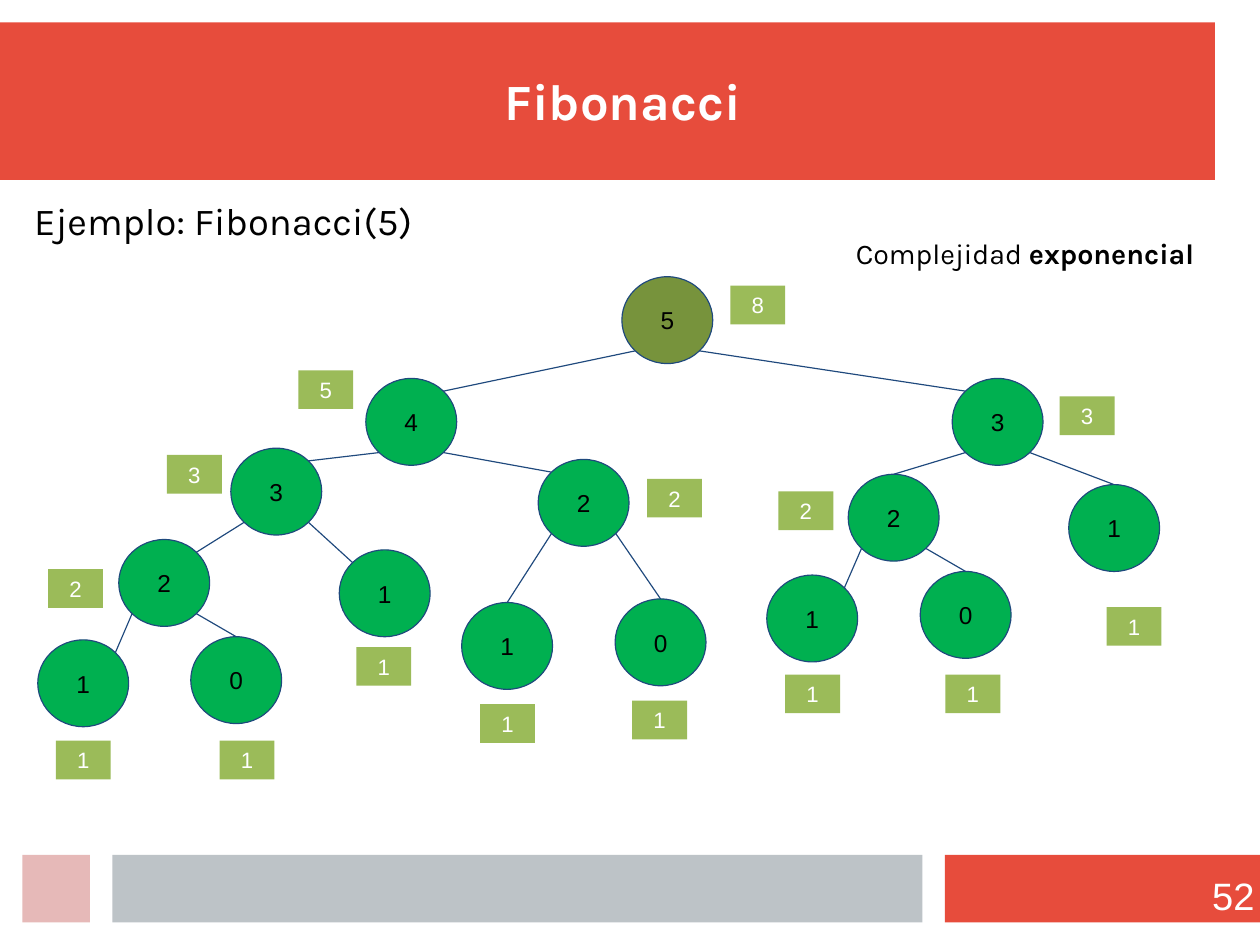
from dataclasses import dataclass
from math import sqrt

from lxml import etree
from pptx import Presentation
from pptx.dml.color import RGBColor
from pptx.enum.shapes import MSO_CONNECTOR as CONNECTOR, MSO_SHAPE as SHAPE
from pptx.enum.text import MSO_ANCHOR as ANCHOR, MSO_AUTO_SIZE as AUTO_SIZE, PP_ALIGN as ALIGN
from pptx.oxml.ns import qn
from pptx.util import Cm, Pt

RED = RGBColor(0xE7, 0x4C, 0x3C)
GREY = RGBColor(0xBD, 0xC3, 0xC7)
PINK = RGBColor(0xE6, 0xB9, 0xB8)
OLIVE = RGBColor(0x77, 0x93, 0x3C)
GREEN = RGBColor(0x00, 0xB0, 0x50)
LIGHT_GREEN = RGBColor(0x9B, 0xBB, 0x59)
NAVY = RGBColor(0x1F, 0x49, 0x7D)
BLACK = RGBColor(0x00, 0x00, 0x00)
WHITE = RGBColor(0xFF, 0xFF, 0xFF)

NODE_W, NODE_H = 2.02, 1.93
BADGE_W, BADGE_H = 1.22, 0.86
LINE_WIDTH = Pt(0.75)
# Horizontal direction of the point where an edge enters a child
LEFT, TOP, RIGHT = -1, 0, 1


@dataclass
class Call:
    """One call of fibonacci(n): node corner, result badge corner, children."""
    n: int
    x: float
    y: float
    badge_x: float
    badge_y: float
    entry: int = TOP
    children: tuple = ()


CALL_TREE = Call(5, 13.82, 6.15, 16.23, 6.35, children=(
    Call(4, 8.13, 8.41, 6.63, 8.23, RIGHT, (
        Call(3, 5.13, 9.96, 3.71, 10.11, RIGHT, (
            Call(2, 2.64, 11.99, 1.07, 12.65, RIGHT, (
                Call(1, 0.84, 14.22, 1.24, 16.46, RIGHT),
                Call(0, 4.24, 14.15, 4.88, 16.46))),
            Call(1, 7.54, 12.22, 7.92, 14.38, LEFT))),
        Call(2, 11.96, 10.21, 14.38, 10.64, LEFT, (
            Call(1, 10.26, 13.39, 10.67, 15.65),
            Call(0, 13.67, 13.31, 14.05, 15.57))))),
    Call(3, 21.16, 8.41, 23.55, 8.81, LEFT, (
        Call(2, 18.85, 10.54, 17.3, 10.92, TOP, (
            Call(1, 17.04, 12.78, 17.45, 14.99, RIGHT),
            Call(0, 20.45, 12.7, 21.01, 14.99))),
        Call(1, 23.75, 10.77, 24.59, 13.49)))))


def fibonacci(n):
    return 1 if n < 2 else fibonacci(n - 1) + fibonacci(n - 2)


def add_run(p, text, size, color, font="Karla", bold=False):
    r = p.add_run()
    r.text = text
    r.font.name, r.font.size, r.font.bold = font, Pt(size), bold
    r.font.color.rgb = color


def set_margins(tf, margin):
    tf.margin_left = tf.margin_right = tf.margin_top = tf.margin_bottom = Cm(margin)


def add_filled(s, kind, x, y, w, h, fill, line=None):
    sp = s.shapes.add_shape(kind, Cm(x), Cm(y), Cm(w), Cm(h))
    sp.shadow.inherit = False
    sp.fill.solid()
    sp.fill.fore_color.rgb = fill
    if line is None:
        sp.line.fill.background()
    else:
        sp.line.color.rgb = line
        sp.line.width = LINE_WIDTH
    return sp


def add_number(sp, number, size, color):
    tf = sp.text_frame
    tf.vertical_anchor = ANCHOR.MIDDLE
    p = tf.paragraphs[0]
    p.alignment = ALIGN.CENTER
    add_run(p, str(number), size, color, "Arial")


def add_node(s, call, fill):
    sp = add_filled(s, SHAPE.OVAL, call.x, call.y, NODE_W, NODE_H, fill, NAVY)
    set_margins(sp.text_frame, 0.28)
    add_number(sp, call.n, 15.4, BLACK)


def add_badge(s, call):
    sp = add_filled(s, SHAPE.RECTANGLE, call.badge_x, call.badge_y,
                    BADGE_W, BADGE_H, LIGHT_GREEN)
    add_number(sp, fibonacci(call.n), 14, WHITE)


def rim_point(call, dx, dy):
    """Point on the node's outline in the direction (dx, dy)."""
    length = sqrt(dx * dx + dy * dy)
    return (Cm(call.x + NODE_W / 2 * (1 + dx / length)),
            Cm(call.y + NODE_H / 2 * (1 + dy / length)))


def add_edge(s, parent, child):
    side = LEFT if child.x < parent.x else RIGHT
    edge = s.shapes.add_connector(CONNECTOR.STRAIGHT, *rim_point(parent, side, 1),
                                  *rim_point(child, child.entry, -1))
    edge.line.color.rgb = NAVY
    edge.line.width = LINE_WIDTH
    etree.SubElement(edge._element.spPr, qn("a:effectLst"))


def add_call_tree(s, call, fill=GREEN):
    add_node(s, call, fill)
    add_badge(s, call)
    for child in call.children:
        add_edge(s, call, child)
        add_call_tree(s, child)


def add_text(s, x, y, w, h):
    """Add a wrapping text box and return its text frame."""
    tf = s.shapes.add_textbox(Cm(x), Cm(y), Cm(w), Cm(h)).text_frame
    tf.word_wrap = True
    return tf


def add_bands(s):
    for x, y, w, h, fill in ((0, 0.5, 27, 3.5, RED), (21, 19, 7, 1.5, RED),
                             (2.5, 19, 18, 1.5, GREY), (0.5, 19, 1.5, 1.5, PINK)):
        add_filled(s, SHAPE.RECTANGLE, x, y, w, h, fill)


def add_page_number(s, number):
    tf = add_text(s, 26.21, 19.38, 1.67, 1.6)
    set_margins(tf, 0)
    p = tf.paragraphs[0]
    p.alignment = ALIGN.RIGHT
    add_run(p, number, 24, WHITE, "Arial")


def format_title(s, text):
    title = s.shapes.title
    s.shapes._spTree.append(title._element)  # in front of the red band
    title.left, title.top, title.width, title.height = Cm(0.84), Cm(0.41), Cm(26), Cm(2.5)
    tf = title.text_frame
    tf.auto_size = AUTO_SIZE.NONE
    tf.vertical_anchor = ANCHOR.BOTTOM
    set_margins(tf, 0)
    p = tf.paragraphs[0]
    p.alignment = ALIGN.CENTER
    add_run(p, text, 32, WHITE, bold=True)


def main():
    prs = Presentation()
    prs.slide_width, prs.slide_height = Cm(28), Cm(21)
    s = prs.slides.add_slide(prs.slide_layouts[5])
    add_bands(s)
    add_page_number(s, "52")
    format_title(s, "Fibonacci")
    p = add_text(s, 0.51, 4.27, 10.8, 1.27).paragraphs[0]
    add_run(p, "Ejemplo: Fibonacci(5)", 24, BLACK)
    p = add_text(s, 18.77, 5.11, 8.15, 1.02).paragraphs[0]
    add_run(p, "Complejidad ", 18, BLACK)
    add_run(p, "exponencial", 18, BLACK, bold=True)
    add_call_tree(s, CALL_TREE, OLIVE)
    prs.save("out.pptx")


if __name__ == "__main__":
    main()
